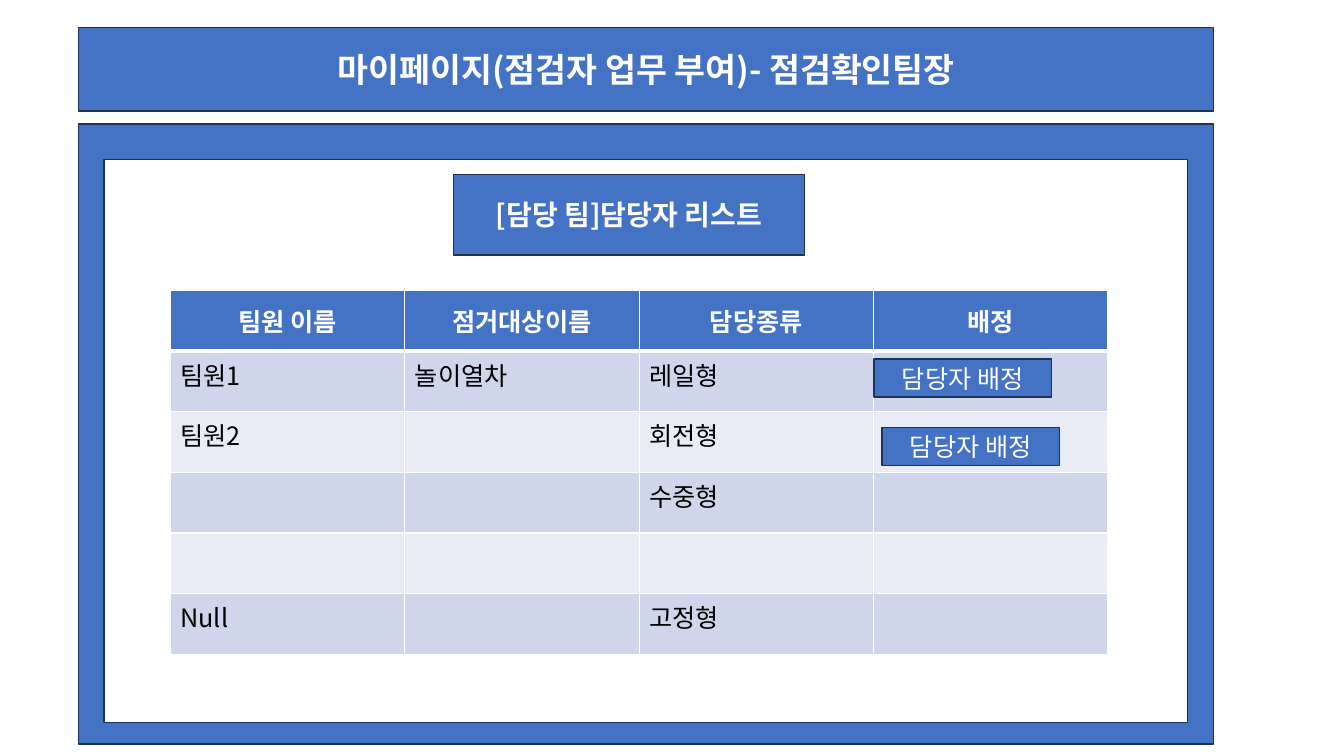
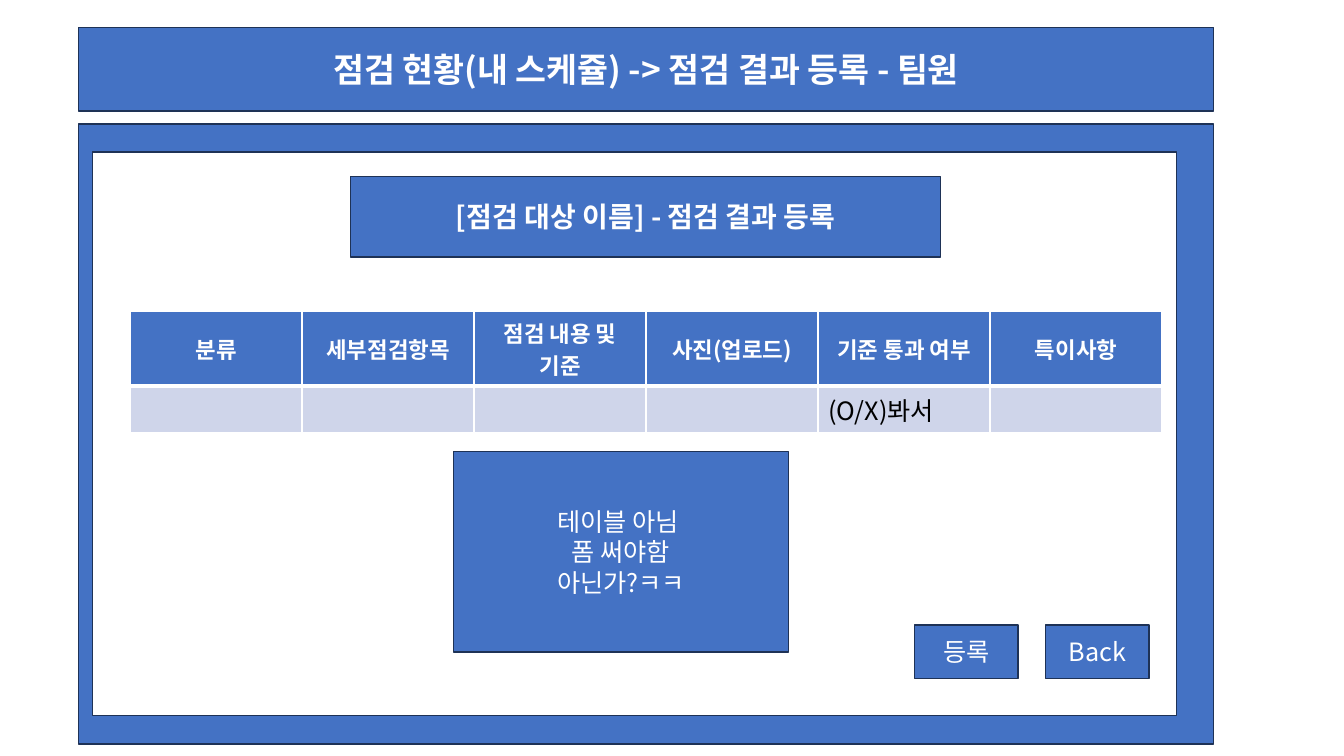
import dataclasses
import typing

import pptx
import pptx.dml.color
import pptx.enum.shapes
import pptx.enum.text
import pptx.oxml
import pptx.oxml.ns
import pptx.slide
import pptx.table
import pptx.text.text
import pptx.util

FONT = "Noto Sans CJK KR"
BLUE, NAVY, WHITE, BLACK = "4472C4", "1E3256", "FFFFFF", "000000"
BANDS = ("CFD5EA", "E9EBF5")
WIDE, HIGH = pptx.util.Inches(13.333), pptx.util.Inches(7.5)
CENTER = pptx.enum.text.PP_ALIGN.CENTER
MIDDLE = pptx.enum.text.MSO_ANCHOR.MIDDLE


@dataclasses.dataclass(frozen=True)
class Area:
    """A rectangle in percent of the slide's width and height."""
    left: float
    top: float
    width: float
    height: float

    def place(self) -> tuple[int, int, int, int]:
        return (round(self.left * WIDE / 100), round(self.top * HIGH / 100),
                round(self.width * WIDE / 100), round(self.height * HIGH / 100))


@dataclasses.dataclass(frozen=True)
class Box:
    area: Area
    text: str = ""
    size: float = 18
    bold: bool = False
    fill: str = BLUE


@dataclasses.dataclass(frozen=True)
class Grid:
    """A table whose area height is its row height times its rows."""
    left: float
    top: float
    width: float
    row: float
    size: float
    head: tuple[str, ...]
    body: tuple[tuple[str, ...], ...]


@dataclasses.dataclass(frozen=True)
class Page:
    title: str
    panel: Area
    grid: Grid
    boxes: tuple[Box, ...]


FRAME = Area(5.85, 16.4, 84.45, 82)
BAND = Area(5.85, 3.6, 84.45, 11.07)
PAGES = (
    Page(
        "마이페이지(점검자 업무 부여)- 점검확인팀장",
        Area(7.73, 21.07, 80.63, 74.53),
        Grid(12.68, 38.4, 69.75, 8.03, 18,
             ("팀원 이름", "점거대상이름", "담당종류", "배정"),
             (("팀원1", "놀이열차", "레일형", ""),
              ("팀원2", "", "회전형", ""),
              ("", "", "수중형", ""),
              ("", "", "", ""),
              ("Null", "", "고정형", ""))),
        (Box(Area(33.75, 23.07, 26.1, 10.67), "[담당 팀]담당자 리스트", 20, True),
         Box(Area(65.03, 47.47, 13.2, 5.07), "담당자 배정"),
         Box(Area(65.63, 56.53, 13.2, 5.07), "담당자 배정")),
    ),
    Page(
        "점검 현황(내 스케쥴) -> 점검 결과 등록 - 팀원",
        Area(6.9, 20.13, 80.63, 74.53),
        Grid(9.68, 41.2, 76.8, 5.47, 16,
             ("분류", "세부점검항목", "점검 내용 및 기준", "사진(업로드)",
              "기준 통과 여부", "특이사항"),
             (("", "", "", "", "(O/X)봐서", ""),)),
        (Box(Area(26.1, 23.33, 43.88, 10.67), "[점검 대상 이름] - 점검 결과 등록", 20, True),
         Box(Area(68.03, 82.67, 7.73, 7.07), "등록"),
         Box(Area(77.78, 82.67, 7.73, 7.07), "Back"),
         Box(Area(33.75, 59.73, 24.9, 26.53), "테이블 아님 \n폼 써야함\v아닌가?ㅋㅋ")),
    ),
)


def paint(code: str) -> pptx.dml.color.RGBColor:
    return pptx.dml.color.RGBColor.from_string(code)


def write(frame: pptx.text.text.TextFrame, text: str, *, size: float = 18,
          color: str = WHITE, bold: bool = False,
          align: typing.Optional[pptx.enum.text.PP_ALIGN] = CENTER) -> None:
    frame.text = text
    for para in frame.paragraphs:
        para.alignment = align
        for run in para.runs:
            font = run.font
            font.name, font.size, font.bold = FONT, pptx.util.Pt(size), bold
            font.color.rgb = paint(color)
            east = pptx.oxml.parse_xml(
                f'<a:ea {pptx.oxml.ns.nsdecls("a")} typeface="{FONT}"/>')
            run.font.color  # the fill stays ahead of the typefaces
            run._r.get_or_add_rPr().append(east)


def draw(slide: pptx.slide.Slide, box: Box) -> None:
    shape = slide.shapes.add_shape(
        pptx.enum.shapes.MSO_SHAPE.RECTANGLE, *box.area.place())
    shape.shadow.inherit = False
    shape.fill.solid()
    shape.fill.fore_color.rgb = paint(box.fill)
    shape.line.color.rgb = paint(NAVY)
    shape.line.width = pptx.util.Pt(1)
    if box.text:
        frame = shape.text_frame
        frame.word_wrap = True
        frame.vertical_anchor = MIDDLE
        write(frame, box.text, size=box.size, bold=box.bold)


def edge(cell: pptx.table._Cell, top: float, base: float) -> None:
    """Give a cell white borders; top and base are widths in points."""
    props = cell._tc.get_or_add_tcPr()
    for side, width in (("L", 1), ("R", 1), ("T", top), ("B", base)):
        props.append(pptx.oxml.parse_xml(
            f'<a:ln{side} {pptx.oxml.ns.nsdecls("a")} w="{pptx.util.Pt(width)}">'
            f'<a:solidFill><a:srgbClr val="{WHITE}"/></a:solidFill></a:ln{side}>'))


def tabulate(slide: pptx.slide.Slide, grid: Grid) -> None:
    rows = (grid.head, *grid.body)
    area = Area(grid.left, grid.top, grid.width, grid.row * len(rows))
    table = slide.shapes.add_table(
        len(rows), len(grid.head), *area.place()).table
    for y, row in enumerate(rows):
        head = y == 0
        for x, text in enumerate(row):
            cell = table.cell(y, x)
            edge(cell, 3 if y == 1 else 1, 3 if head else 1)
            cell.fill.solid()
            cell.fill.fore_color.rgb = paint(BLUE if head else BANDS[(y - 1) % 2])
            if head:
                cell.vertical_anchor = MIDDLE
                write(cell.text_frame, text, size=grid.size, bold=True)
            else:
                write(cell.text_frame, text, color=BLACK, align=None)


def build(deck: pptx.presentation.Presentation, page: Page) -> None:
    slide = deck.slides.add_slide(deck.slide_layouts[6])
    draw(slide, Box(FRAME))
    draw(slide, Box(BAND, page.title, 24, True))
    draw(slide, Box(page.panel, fill=WHITE))
    tabulate(slide, page.grid)
    for box in page.boxes:
        draw(slide, box)


def main() -> None:
    deck = pptx.Presentation()
    deck.slide_width, deck.slide_height = WIDE, HIGH
    for page in PAGES:
        build(deck, page)
    deck.save("out.pptx")


if __name__ == "__main__":
    main()
